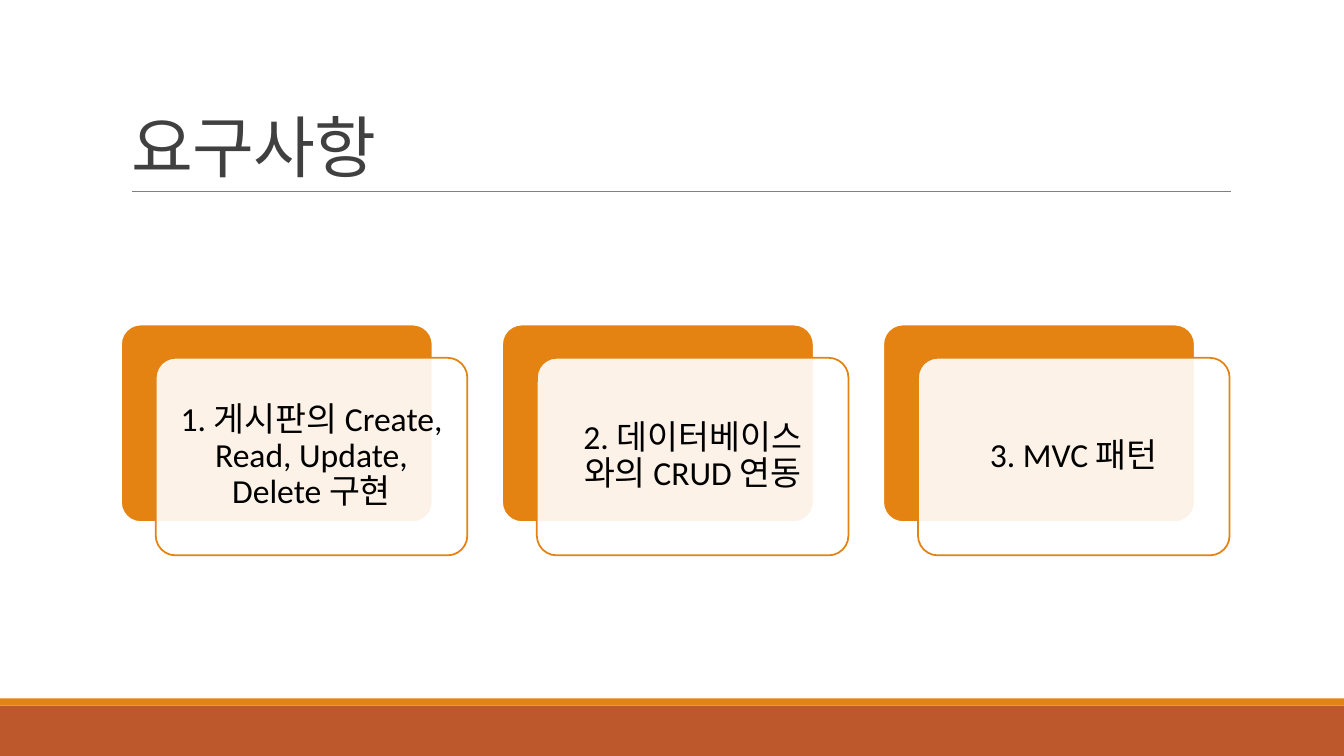
import pptx
import pptx.util
import pptx.dml.color
import pptx.enum.shapes
import pptx.enum.text
import pptx.oxml.ns
import lxml.etree

Inches = pptx.util.Inches
Pt = pptx.util.Pt
RGBColor = pptx.dml.color.RGBColor
Shapes = pptx.enum.shapes.MSO_SHAPE
Anchor = pptx.enum.text.MSO_ANCHOR
Align = pptx.enum.text.PP_ALIGN
qn = pptx.oxml.ns.qn

ORANGE = RGBColor(0xE4, 0x83, 0x12)
RUST = RGBColor(0xBD, 0x58, 0x2C)
WHITE = RGBColor(0xFF, 0xFF, 0xFF)
BLACK = RGBColor(0, 0, 0)
GRAY = RGBColor(0x80, 0x80, 0x80)
DARK_GRAY = RGBColor(0x40, 0x40, 0x40)

WIDTH, HEIGHT = 13.33, 7.5
LEFT, COLUMN_STEP = 1.2, 3.78
CARD_TOP, CARD_WIDTH, CARD_HEIGHT = 3.22, 3.09, 1.96
CARD_SHIFT_X, CARD_SHIFT_Y = 0.345, 0.33
REQUIREMENTS = [
    "1. 게시판의 Create, Read, Update, Delete 구현",
    "2. 데이터베이스 와의 CRUD 연동",
    "3. MVC 패턴",
]

presentation = pptx.Presentation()
presentation.slide_width = Inches(WIDTH)
presentation.slide_height = Inches(HEIGHT)
slide = presentation.slides.add_slide(presentation.slide_layouts[5])


def add_box(preset, left, top, width, height, fill, line=None):
    shape = slide.shapes.add_shape(
        preset, Inches(left), Inches(top), Inches(width), Inches(height))
    shape.shadow.inherit = False
    shape.fill.solid()
    shape.fill.fore_color.rgb = fill
    if line is None:
        shape.line.fill.background()
    else:
        shape.line.color.rgb = line
        shape.line.width = Pt(1.25)
        shape.adjustments[0] = 0.1
    return shape


def add_text(frame, text, size, color, spacing):
    frame.word_wrap = True
    paragraph = frame.paragraphs[0]
    paragraph.line_spacing = spacing
    run = paragraph.add_run()
    run.text = text
    run.font.name = "Calibri"
    run.font.size = Pt(size)
    run.font.color.rgb = color
    return paragraph


for top, height, color in [(7, 0.5, RUST), (6.93, 0.07, ORANGE)]:
    add_box(Shapes.RECTANGLE, 0, top, WIDTH, height, color)

rule = slide.shapes.add_connector(
    pptx.enum.shapes.MSO_CONNECTOR.STRAIGHT,
    Inches(1.31), Inches(1.9), Inches(12.21), Inches(1.9))
rule.line.color.rgb = GRAY
rule.line.width = Pt(0.5)
lxml.etree.SubElement(rule._element.spPr, qn("a:effectLst"))

title = slide.shapes.title
title.left, title.top = Inches(LEFT), Inches(0.31)
title.width, title.height = Inches(11), Inches(1.59)
title.text_frame.vertical_anchor = Anchor.BOTTOM
title_paragraph = add_text(title.text_frame, "요구사항", 48, DARK_GRAY, 0.85)
title_paragraph.alignment = Align.LEFT
title_paragraph.runs[0].font._element.set("spc", "-50")

for column, requirement in enumerate(REQUIREMENTS):
    left = LEFT + column * COLUMN_STEP
    add_box(Shapes.ROUNDED_RECTANGLE, left, CARD_TOP,
            CARD_WIDTH, CARD_HEIGHT, ORANGE, WHITE)
    card = add_box(Shapes.ROUNDED_RECTANGLE, left + CARD_SHIFT_X,
                   CARD_TOP + CARD_SHIFT_Y, CARD_WIDTH, CARD_HEIGHT,
                   WHITE, ORANGE)
    fill_color = card._element.spPr.find(qn("a:solidFill"))[0]
    lxml.etree.SubElement(fill_color, qn("a:alpha"), val="90000")
    frame = card.text_frame
    frame.vertical_anchor = Anchor.MIDDLE
    frame.margin_left = frame.margin_right = Inches(0.1)
    frame.margin_top = frame.margin_bottom = Inches(0.1)
    add_text(frame, requirement, 24, BLACK, 0.9).alignment = Align.CENTER

presentation.save("out.pptx")
